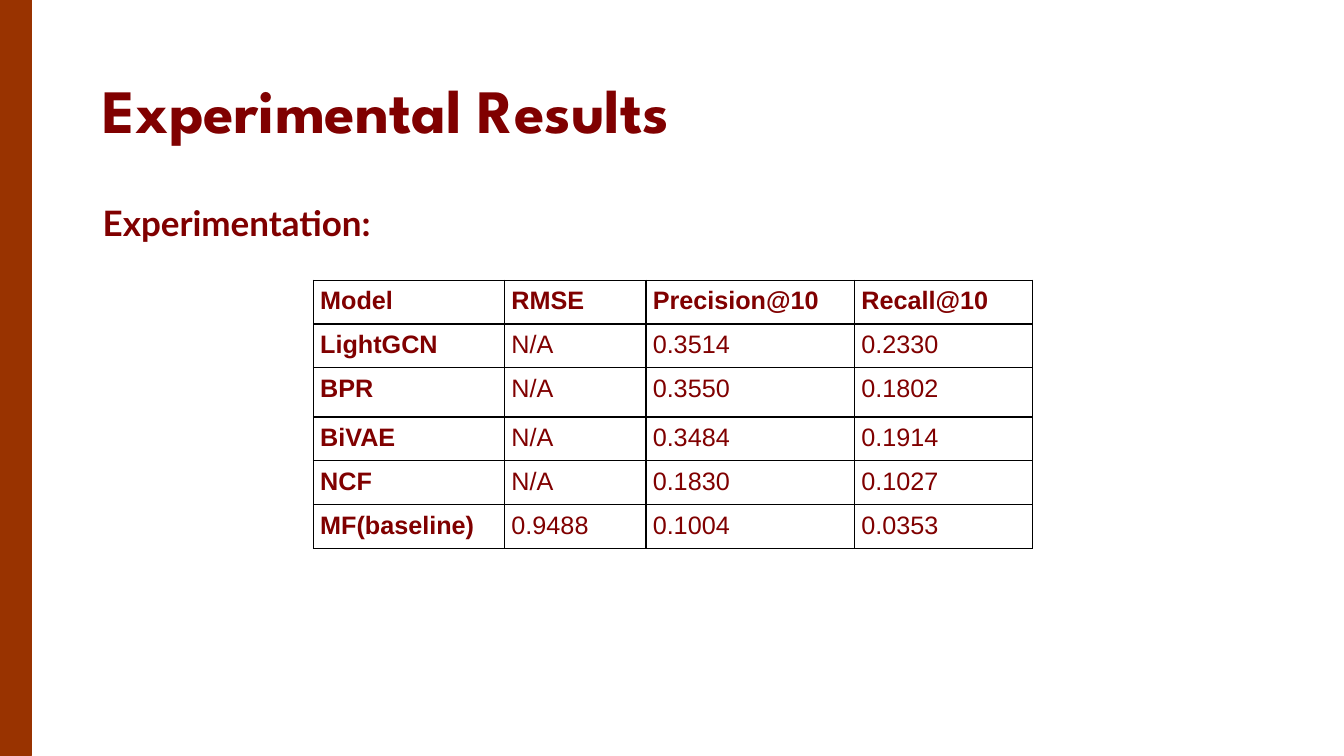
from lxml.etree import SubElement
from pptx import Presentation
from pptx.dml.color import RGBColor
from pptx.enum.shapes import MSO_SHAPE as Shape
from pptx.enum.text import MSO_ANCHOR as Anchor, PP_ALIGN as Align
from pptx.oxml.ns import qn
from pptx.util import Cm, Pt

MAROON = RGBColor(0x80, 0x00, 0x00)
RUST = RGBColor(0x99, 0x33, 0x00)
BLACK = RGBColor(0x00, 0x00, 0x00)

RESULTS = [
    ("Model", "RMSE", "Precision@10", "Recall@10"),
    ("LightGCN", "N/A", "0.3514", "0.2330"),
    ("BPR", "N/A", "0.3550", "0.1802"),
    ("BiVAE", "N/A", "0.3484", "0.1914"),
    ("NCF", "N/A", "0.1830", "0.1027"),
    ("MF(baseline)", "0.9488", "0.1004", "0.0353"),
]
COLUMN_WIDTHS = [4.82, 3.56, 5.26, 4.48]
ROW_HEIGHTS = [1.06, 1.06, 1.24, 1.06, 1.06, 1.06]


def write(frame, text, font="Arial", size=18, bold=True, align=Align.LEFT, spacing=1.0):
    frame.word_wrap = True
    paragraph = frame.paragraphs[0]
    paragraph.alignment = align
    paragraph.line_spacing = spacing
    run = paragraph.add_run()
    run.text = text
    run.font.name = font
    run.font.size = Pt(size)
    run.font.bold = bold
    run.font.color.rgb = MAROON


def add_side_bar(slide, left, top, width, height):
    bar = slide.shapes.add_shape(Shape.RECTANGLE, Cm(left), Cm(top), Cm(width), Cm(height))
    bar.shadow.inherit = False
    bar.fill.solid()
    bar.fill.fore_color.rgb = RUST
    bar.line.color.rgb = RUST
    bar.line.width = Pt(2.25)


def place_heading(slide, left, top, width, height):
    heading = slide.shapes.title
    heading.left, heading.top = Cm(left), Cm(top)
    heading.width, heading.height = Cm(width), Cm(height)
    heading.text_frame.vertical_anchor = Anchor.MIDDLE
    write(heading.text_frame, "Experimental Results", font="League Spartan", size=44, spacing=0.9)


def add_subheading(slide, left, top, width, height):
    subheading = slide.shapes.add_textbox(Cm(left), Cm(top), Cm(width), Cm(height))
    write(subheading.text_frame, "Experimentation:", font="Lato", size=25,
          align=Align.JUSTIFY, spacing=0.9)


def outline_cell(cell):
    properties = cell._tc.get_or_add_tcPr()
    for position, side in enumerate(("a:lnL", "a:lnR", "a:lnT", "a:lnB")):
        border = SubElement(properties, qn(side), w=str(Pt(1)))
        fill = SubElement(border, qn("a:solidFill"))
        SubElement(fill, qn("a:srgbClr"), val=str(BLACK))
        properties.insert(position, border)


def add_results_table(slide, left, top):
    results = slide.shapes.add_table(
        len(RESULTS), len(COLUMN_WIDTHS), Cm(left), Cm(top),
        Cm(sum(COLUMN_WIDTHS)), Cm(sum(ROW_HEIGHTS))).table
    results.horz_banding = False
    for column, width in zip(results.columns, COLUMN_WIDTHS):
        column.width = Cm(width)
    for row, height in zip(results.rows, ROW_HEIGHTS):
        row.height = Cm(height)
    for row_number, scores in enumerate(RESULTS):
        for column_number, score in enumerate(scores):
            cell = results.cell(row_number, column_number)
            cell.margin_left = cell.margin_right = Cm(0.17)
            cell.margin_top = cell.margin_bottom = Cm(0.17)
            cell.fill.background()
            outline_cell(cell)
            write(cell.text_frame, score, bold=row_number == 0 or column_number == 0)


def build_results_slide(deck):
    slide = deck.slides.add_slide(deck.slide_layouts[5])
    add_side_bar(slide, 0, 0, 0.76, 19.05)
    place_heading(slide, 2.34, 1.02, 29.21, 3.68)
    add_subheading(slide, 2.34, 5.08, 29.26, 11.66)
    add_results_table(slide, 7.9, 7.06)


def main():
    deck = Presentation()
    deck.slide_width, deck.slide_height = Cm(33.87), Cm(19.05)
    build_results_slide(deck)
    deck.save("out.pptx")


if __name__ == "__main__":
    main()
